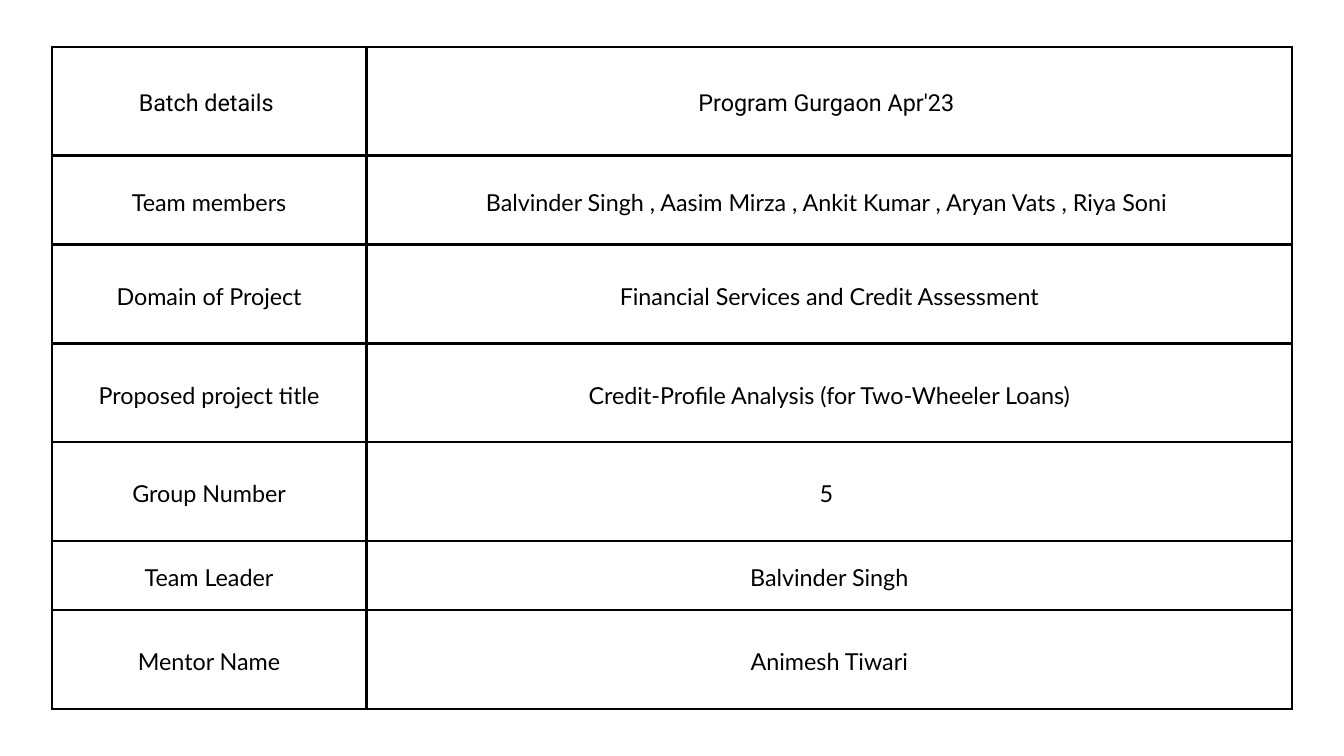
"""Build the project details slide: a two-column table of labels and values."""
from lxml import etree
from pptx import Presentation
from pptx.dml.color import RGBColor
from pptx.enum.text import MSO_ANCHOR, PP_ALIGN
from pptx.oxml.ns import qn
from pptx.util import Pt

MIDDLE = MSO_ANCHOR.MIDDLE
CENTER = PP_ALIGN.CENTER
BLACK = RGBColor(0, 0, 0)

SLIDE_WIDTH, SLIDE_HEIGHT = 1440, 810
TABLE_LEFT, TABLE_TOP = 55.5, 50.4
COLUMN_WIDTHS = (337, 992)
DETAILS = (
    (116, "Roboto", "Batch details ", "Program Gurgaon Apr'23 "),
    (95.8, "Lato", "Team members",
     "Balvinder Singh , Aasim Mirza , Ankit Kumar , Aryan Vats , Riya Soni "),
    (105.8, "Lato", "Domain of Project", "Financial Services and Credit Assessment"),
    (105.8, "Lato", "Proposed project title",
     "Credit-Profile Analysis (for Two-Wheeler Loans)"),
    (105.8, "Lato", "Group Number", "5 "),
    (74.2, "Lato", "Team Leader", "Balvinder Singh"),
    (105.8, "Lato", "Mentor Name", "Animesh Tiwari"),
)


def write_text(text_frame, text, *, font, size, color, alignment, line_spacing):
    paragraph = text_frame.paragraphs[0]
    paragraph.alignment = alignment
    paragraph.line_spacing = Pt(line_spacing)
    run = paragraph.add_run()
    run.text = text
    run.font.name = font
    run.font.size = Pt(size)
    run.font.color.rgb = color


class SlideBuilder:
    """Hold the table style and the slide being built."""

    text_size = 25
    line_spacing = 35
    margin = 15
    border_width = 3
    color = BLACK

    def __init__(self, slide):
        self.slide = slide

    def add_borders(self, cell):
        properties = cell._tc.get_or_add_tcPr()
        for side in ("lnL", "lnR", "lnT", "lnB"):
            line = etree.SubElement(
                properties, qn(f"a:{side}"), w=str(Pt(self.border_width)))
            fill = etree.SubElement(line, qn("a:solidFill"))
            etree.SubElement(fill, qn("a:srgbClr"), val=str(self.color))

    def fill_cell(self, cell, text, font):
        cell.margin_left = cell.margin_right = Pt(self.margin)
        cell.margin_top = cell.margin_bottom = Pt(self.margin)
        cell.vertical_anchor = MIDDLE
        self.add_borders(cell)
        cell.fill.background()
        write_text(cell.text_frame, text, font=font, size=self.text_size,
                   color=self.color, alignment=CENTER,
                   line_spacing=self.line_spacing)

    def add_details_table(self, left, top, column_widths, details):
        height = sum(row_height for row_height, *_ in details)
        table = self.slide.shapes.add_table(
            len(details), len(column_widths), Pt(left), Pt(top),
            Pt(sum(column_widths)), Pt(height)).table
        table.first_row = table.horz_banding = False
        for column, width in zip(table.columns, column_widths):
            column.width = Pt(width)
        for row, (row_height, font, *texts) in zip(table.rows, details):
            row.height = Pt(row_height)
            for cell, text in zip(row.cells, texts):
                self.fill_cell(cell, text, font)


def main():
    presentation = Presentation()
    presentation.slide_width = Pt(SLIDE_WIDTH)
    presentation.slide_height = Pt(SLIDE_HEIGHT)
    slide = presentation.slides.add_slide(presentation.slide_layouts[6])
    SlideBuilder(slide).add_details_table(
        TABLE_LEFT, TABLE_TOP, COLUMN_WIDTHS, DETAILS)
    presentation.save("out.pptx")


if __name__ == "__main__":
    main()
